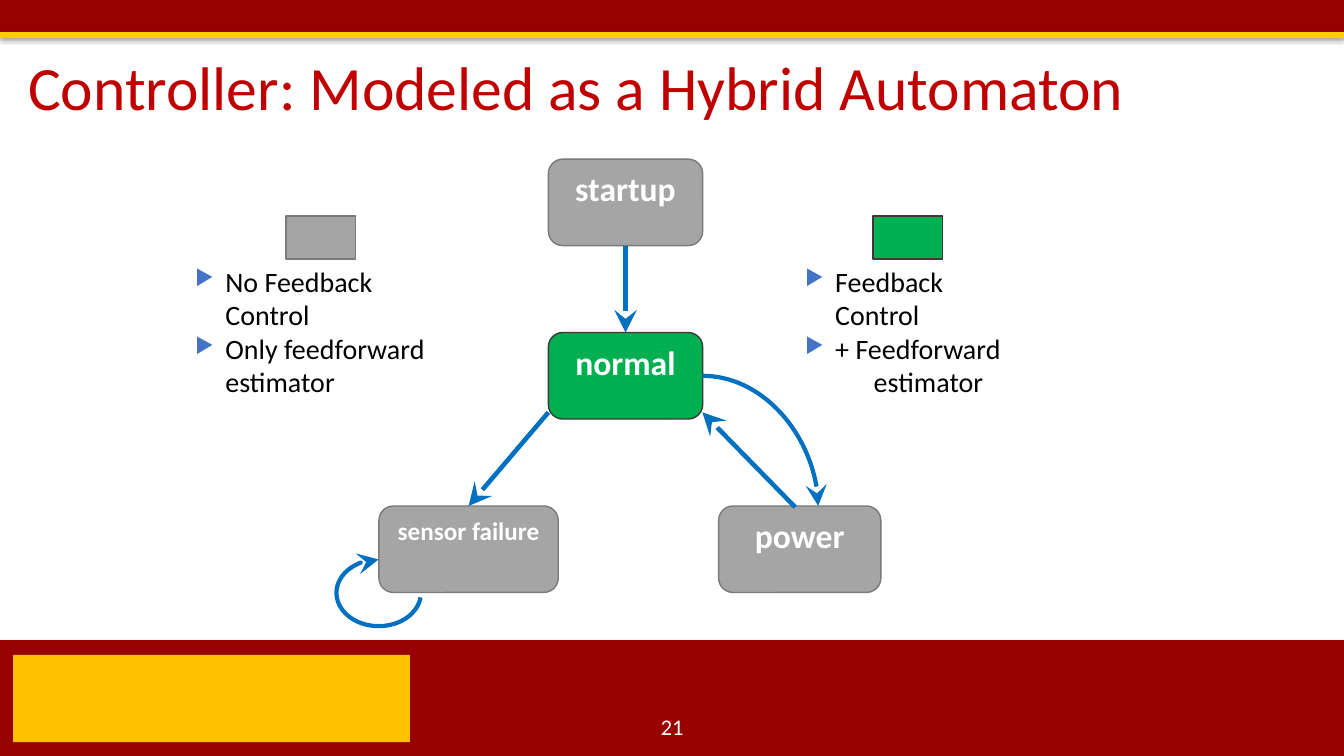
"""Build the slide on a controller modeled as a hybrid automaton."""
import pptx
import pptx.util
import pptx.oxml
import pptx.oxml.ns
import pptx.dml.color
import pptx.enum.shapes
import pptx.enum.text
from pptx.util import Cm


class Theme:
    red, gold, amber = "990000", "FFCC00", "FFC000"
    title, white, black = "C00000", "FFFFFF", "000000"
    gray, dim = "A5A5A5", "7A7A7A"
    green, dark = "00B050", "3B3838"
    arrow, bullet = "0070C0", "4472C4"
    sans = "Calibri"
    head, state, body, label, small = 44, 24, 20, 18, 16


rgb = pptx.dml.color.RGBColor.from_string
qn = pptx.oxml.ns.qn
Kind = pptx.enum.shapes.MSO_SHAPE
Link = pptx.enum.shapes.MSO_CONNECTOR
Anchor = pptx.enum.text.MSO_ANCHOR
Align = pptx.enum.text.PP_ALIGN
space = 'xmlns:a="http://schemas.openxmlformats.org/drawingml/2006/main"'

deck = pptx.Presentation()
deck.slide_width, deck.slide_height = Cm(33.87), Cm(19.05)
slide = deck.slides.add_slide(deck.slide_layouts[6])
shapes = slide.shapes


def block(kind, box, fill, edge=None):
    """Add a filled shape, with an edge if one is given."""
    shape = shapes.add_shape(kind, *map(Cm, box))
    shape.fill.solid()
    shape.fill.fore_color.rgb = rgb(fill)
    if edge:
        shape.line.color.rgb = rgb(edge)
        shape.line.width = pptx.util.Pt(1)
    else:
        shape.line.fill.background()
    shape.shadow.inherit = False
    return shape


def style(par, size, color):
    """Set the font of a paragraph."""
    par.font.size = pptx.util.Pt(size)
    par.font.color.rgb = rgb(color)
    par.font.name = Theme.sans


bars = [
    ((0, 16.13, 33.87, 2.92), Theme.red),
    ((0, 0, 33.87, 0.84), Theme.red),
    ((0, 0.81, 33.87, 0.15), Theme.gold),
]
for box, fill in bars:
    bar = block(Kind.RECTANGLE, box, fill)
    bar.element.spPr.find(qn("a:effectLst")).append(pptx.oxml.parse_xml(
        f'<a:outerShdw {space} blurRad="39400" dist="22900" dir="5400000" '
        'rotWithShape="0"><a:srgbClr val="000000"><a:alpha val="35000"/>'
        '</a:srgbClr></a:outerShdw>'))

block(Kind.RECTANGLE, (0.33, 16.5, 10, 2.2), Theme.amber)

singles = [
    ("Controller: Modeled as a Hybrid Automaton", (0.46, 1.19, 30.33, 2.16),
     Theme.head, Theme.title, Align.LEFT, 0.9),
    ("21", (13.13, 17.81, 7.62, 1.02),
     Theme.small, Theme.white, Align.CENTER, 1.0),
]
for text, box, size, color, align, pitch in singles:
    frame = shapes.add_textbox(*map(Cm, box)).text_frame
    frame.word_wrap = True
    frame.vertical_anchor = Anchor.MIDDLE
    line = frame.paragraphs[0]
    line.text = text
    line.alignment = align
    line.line_spacing = pitch
    style(line, size, color)

off = (Theme.gray, Theme.dim)
on = (Theme.green, Theme.dark)
states = {}
for text, left, top, width, size, tint in [
    ("startup", 13.82, 4.01, 3.89, Theme.state, off),
    ("sensor failure", 9.55, 12.75, 4.52, Theme.label, off),
    ("normal", 13.82, 8.38, 3.89, Theme.state, on),
    ("power", 18.11, 12.75, 4.09, Theme.state, off),
]:
    state = block(Kind.ROUNDED_RECTANGLE, (left, top, width, 2.18), *tint)
    frame = state.text_frame
    frame.vertical_anchor = Anchor.TOP
    line = frame.paragraphs[0]
    line.text = text
    line.alignment = Align.CENTER
    style(line, size, Theme.white)
    line.font.bold = True
    states[text] = state

arrows = []
for kind, ends, weight, tip in [
    (Link.STRAIGHT, (15.77, 6.19, 15.77, 8.38), 3.25, "tailEnd"),
    (Link.STRAIGHT, (13.82, 10.39, 11.81, 12.75), 3.25, "tailEnd"),
    (Link.STRAIGHT, (17.7, 10.39, 20.04, 12.78), 3.25, "headEnd"),
    (Link.CURVE, (17.7, 9.47, 20.62, 12.75), 3, "tailEnd"),
]:
    arrow = shapes.add_connector(kind, *map(Cm, ends))
    if kind == Link.CURVE:
        curve = arrow._element.spPr.find(qn("a:prstGeom"))
        curve.set("prst", "curvedConnector2")
    arrows.append((arrow, weight, tip))
arrows[0][0].begin_connect(states["startup"], 2)
arrows[0][0].end_connect(states["normal"], 0)
arrows[1][0].end_connect(states["sensor failure"], 0)

loop = shapes.add_shape(Kind.ARC, Cm(8.48), Cm(14.1), Cm(2.13), Cm(1.68))
loop.adjustments[0], loop.adjustments[1] = 3.754, 161.839
loop.fill.background()
arrows.append((loop, 3, "tailEnd"))
for arrow, weight, tip in arrows:
    arrow.line.color.rgb = rgb(Theme.arrow)
    arrow.line.width = pptx.util.Pt(weight)
    spot = arrow._element.spPr
    spot.find(qn("a:ln")).append(pptx.oxml.parse_xml(
        f'<a:{tip} {space} type="stealth" w="lg" len="lg"/>'))
    spot.append(pptx.oxml.parse_xml(f"<a:effectLst {space}/>"))

marks = [
    f'<a:buClr {space}><a:srgbClr val="{Theme.bullet}"/></a:buClr>',
    f'<a:buSzPct {space} val="76000"/>',
    f'<a:buChar {space} char="▶"/>',
]
keys = [
    (7.21, off, (4.67, 6.53, 6.81, 4.11),
     [("No Feedback Control", True), ("Only feedforward estimator", True)]),
    (22, on, (20.04, 6.53, 5.84, 3.15),
     [("Feedback Control", True), ("+ Feedforward", True),
      ("estimator", False)]),
]
for left, tint, box, items in keys:
    block(Kind.RECTANGLE, (left, 5.44, 1.75, 1.09), *tint)
    frame = shapes.add_textbox(*map(Cm, box)).text_frame
    frame.word_wrap = True
    for rank, (text, dot) in enumerate(items):
        line = frame.add_paragraph() if rank else frame.paragraphs[0]
        line.text = text
        props = line._p.get_or_add_pPr()
        props.set("marL", str(Cm(0.76 if dot else 1.73)))
        if dot:
            props.set("indent", str(-Cm(0.76)))
            for mark in marks:
                props.append(pptx.oxml.parse_xml(mark))
        style(line, Theme.body, Theme.black)

deck.save("out.pptx")
